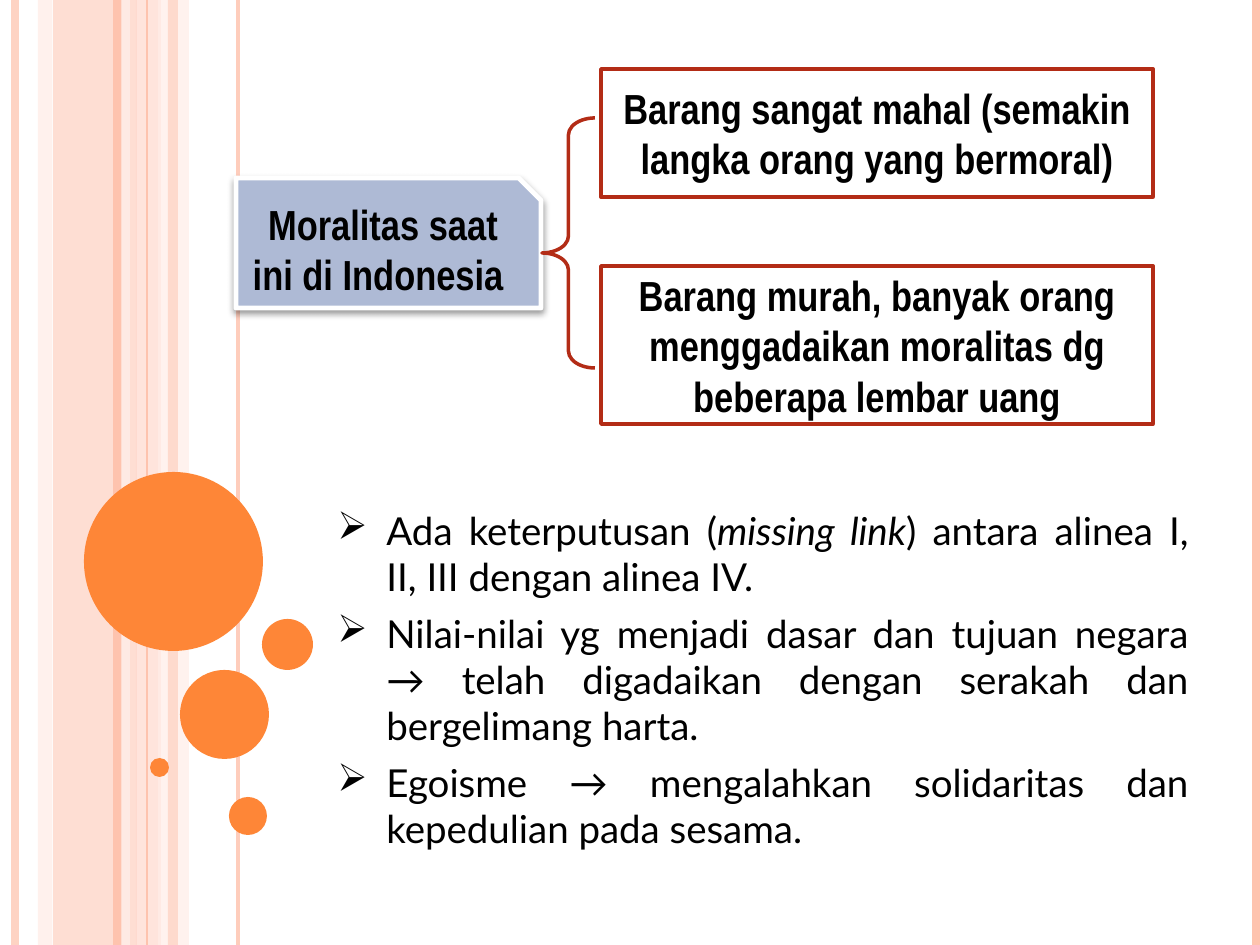
from lxml.etree import SubElement
from pptx import Presentation
from pptx.dml.color import RGBColor
from pptx.enum.shapes import MSO_CONNECTOR, MSO_SHAPE
from pptx.enum.text import MSO_ANCHOR, PP_ALIGN
from pptx.oxml.ns import qn
from pptx.util import Pt

SCALE = 914400 / 126
WIDE, HIGH = 1260, 945
PEACH, PALE, MIST = "FEC3AE", "FFD9CE", "FFEDE8"
ORANGE, RED, BLUE = "FE8637", "B32C16", "AEBAD5"
BLACK, WHITE = "000000", "FFFFFF"

# left, width, colour, opacity
BANDS = [(53, 84, PEACH, 54), (38, 14, PALE, 36), (136, 25, PALE, 70), (158, 31, MIST, 71)]
# centre, points, colour, opacity
RULES = [
    (15, 4.5, PEACH, 73), (126, 4.5, MIST, 83), (117, 4.5, PEACH, 100),
    (238, 2.25, PEACH, 82), (147, 0.75, PEACH, 100), (1256, 4.5, PEACH, 100),
]
FRONT = (168, 10, PEACH, 51)
# left, top, size
DOTS = [(84, 472, 179), (180, 670, 89), (150, 758, 19), (229, 797, 38), (262, 619, 51)]
TOPIC = ("Moralitas saat ini di Indonesia ", (236, 178, 305, 130))
CLAIMS = [
    ("Barang sangat mahal (semakin langka orang yang bermoral)", (601, 69, 552, 128)),
    ("Barang murah, banyak orang menggadaikan moralitas dg beberapa lembar uang",
     (601, 266, 552, 158)),
]
BRACE = (542, 118, 53, 250)
NOTES = (325, 501, 876, 374)
# each point is a list of (text, italic)
POINTS = [
    [("Ada keterputusan (", False), ("missing link", True),
     (") antara alinea I, II, III dengan alinea IV.", False)],
    [("Nilai-nilai yg menjadi dasar dan tujuan negara → telah digadaikan "
      "dengan serakah dan bergelimang harta.", False)],
    [("Egoisme → mengalahkan solidaritas dan kepedulian pada sesama.", False)],
]


def px(num):
    return round(num * SCALE)


def rgb(code):
    return RGBColor.from_string(code)


def fade(node, cent):
    if cent < 100:
        for tint in node.iter(qn("a:srgbClr")):
            SubElement(tint, qn("a:alpha"), val=str(cent * 1000))


def shape(kind, box, fill=None, line=None, width=2):
    item = slide.shapes.add_shape(kind, *map(px, box))
    item.shadow.inherit = False
    if fill:
        item.fill.solid()
        item.fill.fore_color.rgb = rgb(fill)
    else:
        item.fill.background()
    if line:
        item.line.color.rgb = rgb(line)
        item.line.width = Pt(width)
    else:
        item.line.fill.background()
    return item


def band(left, width, code, cent):
    fade(shape(MSO_SHAPE.RECTANGLE, (left, 0, width, HIGH), code)._element.spPr, cent)


def rule(mid, width, code, cent):
    item = slide.shapes.add_connector(MSO_CONNECTOR.STRAIGHT, px(mid), 0, px(mid), px(HIGH))
    item.line.color.rgb = rgb(code)
    item.line.width = Pt(width)
    props = item._element.spPr
    fade(props, cent)
    SubElement(props, qn("a:effectLst"))


def style(para, face, size, bold=False):
    font = para.font
    font.name, font.size, font.bold = face, Pt(size), bold
    font.color.rgb = rgb(BLACK)


def card(text, box, snip, **look):
    item = shape(MSO_SHAPE.SNIP_1_RECTANGLE, box, **look)
    item.adjustments[0] = snip
    frame = item.text_frame
    frame.word_wrap = True
    frame.vertical_anchor = MSO_ANCHOR.MIDDLE
    para = frame.paragraphs[0]
    para.text = text
    para.alignment = PP_ALIGN.CENTER
    style(para, "Arial Narrow", 24, True)
    return item


def drop(item):
    glow = item._element.spPr.find(qn("a:effectLst"))
    cast = SubElement(glow, qn("a:outerShdw"), blurRad=str(Pt(4)), dist=str(Pt(2)),
                      dir="5400000", rotWithShape="0")
    fade(SubElement(cast, qn("a:srgbClr"), val=BLACK).getparent(), 40)


def point(para, parts):
    for text, slant in parts:
        run = para.add_run()
        run.text = text
        if slant:
            run.font.italic = True
    para.alignment = PP_ALIGN.JUSTIFY
    para.space_before = Pt(6)
    props = para._p.get_or_add_pPr()
    props.set("marL", str(px(49)))
    props.set("indent", str(px(-49)))
    SubElement(props, qn("a:buChar"), char="➢")
    style(para, "Lato", 22)


deck = Presentation()
deck.slide_width, deck.slide_height = px(WIDE), px(HIGH)
slide = deck.slides.add_slide(deck.slide_layouts[6])

for row in BANDS:
    band(*row)
for row in RULES:
    rule(*row)
band(*FRONT)
for left, top, size in DOTS:
    shape(MSO_SHAPE.OVAL, (left, top, size, size), ORANGE)

frame = slide.shapes.add_textbox(*map(px, NOTES)).text_frame
frame.word_wrap = True
for rank, parts in enumerate(POINTS):
    point(frame.add_paragraph() if rank else frame.paragraphs[0], parts)

drop(card(*TOPIC, 0.17, fill=BLUE, line=WHITE, width=2.75))
for text, box in CLAIMS:
    card(text, box, 0, line=RED)
brace = shape(MSO_SHAPE.LEFT_BRACE, BRACE, line=RED)
brace.adjustments[0], brace.adjustments[1] = 0.32, 0.54

deck.save("out.pptx")
